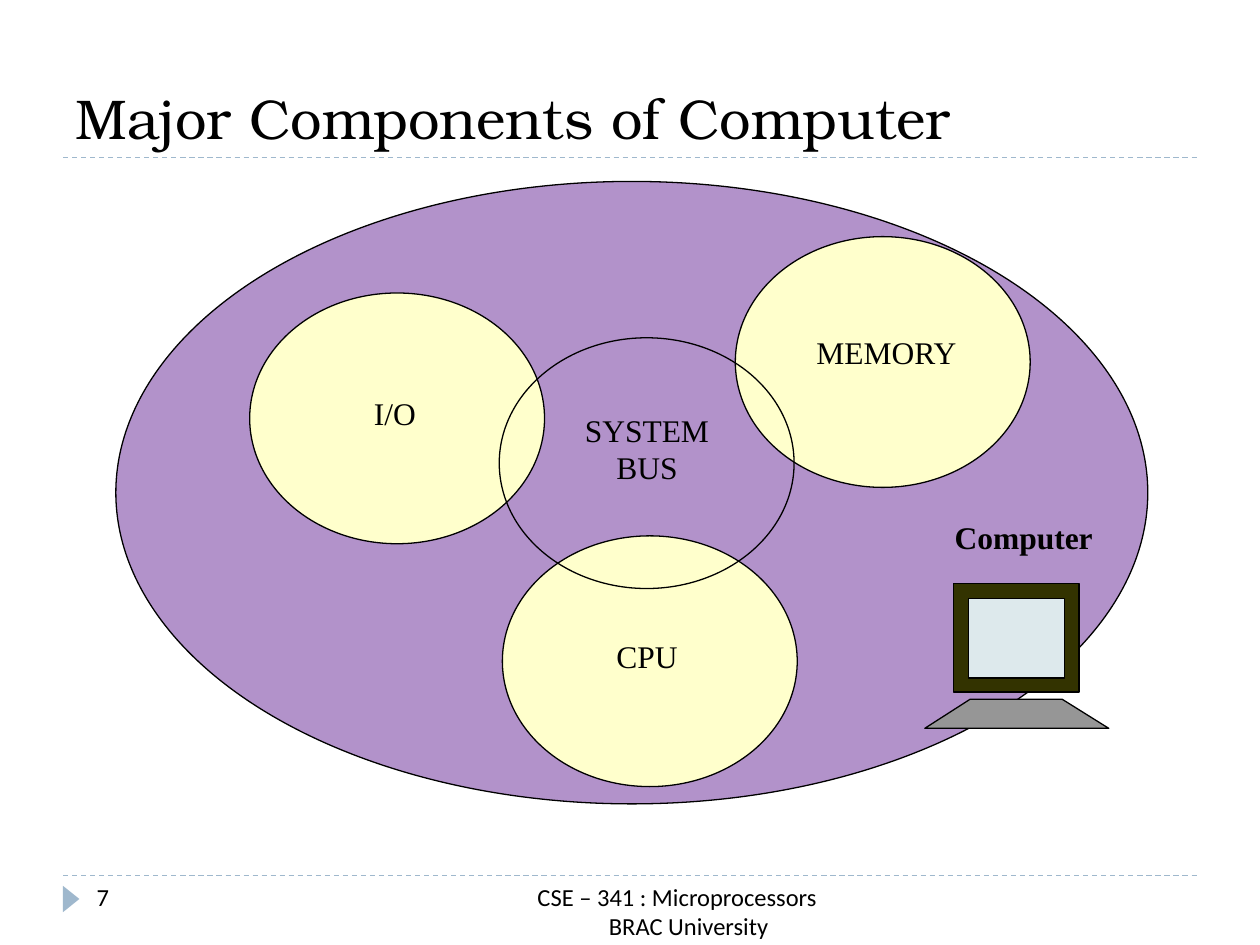
from dataclasses import dataclass
from typing import Any, NamedTuple, Optional

from lxml.etree import SubElement
from pptx import Presentation
from pptx.dml.color import RGBColor
from pptx.enum.dml import MSO_LINE
from pptx.enum.shapes import MSO_CONNECTOR, MSO_SHAPE
from pptx.enum.text import MSO_ANCHOR, MSO_AUTO_SIZE, PP_ALIGN
from pptx.oxml.ns import qn
from pptx.util import Pt


@dataclass(frozen=True)
class Theme:
    ink: str = "000000"
    rule: str = "9FB8CD"
    field: str = "B292CA"
    node: str = "FFFFCC"
    case: str = "333300"
    glass: str = "DDE9EC"
    base: str = "969696"
    head: str = "TeX Gyre Bonum"
    body: str = "Times New Roman"
    foot: str = "Calibri"
    large: float = 32
    mid: float = 18
    small: float = 14
    edge: float = 0.75


class Box(NamedTuple):
    left: float
    top: float
    width: float
    height: float

    def points(self) -> list:
        return [Pt(size) for size in self]


class Node(NamedTuple):
    name: str
    left: float
    top: float
    label: Box
    fill: Optional[str]


THEME = Theme()
NODE_W, NODE_H = 168.5, 143.3
NODES = [
    Node("CPU", 287.1, 306.2, Box(313.2, 360.7, 113, 28.8), THEME.node),
    Node("MEMORY", 420.2, 135.2, Box(442.1, 186.5, 128.9, 28.8), THEME.node),
    Node("I/O", 142.7, 167.4, Box(169.2, 221.8, 113, 28.8), THEME.node),
    Node("SYSTEM BUS", 285.3, 193, Box(313.2, 231.1, 113, 51.1), None),
]


def assign(target: Any, values: dict) -> None:
    for key, value in values.items():
        setattr(target, key, value)


def paint(shape: Any, fill: Optional[str], edge: Optional[str]) -> None:
    shape.shadow.inherit = False
    if fill:
        shape.fill.solid()
        shape.fill.fore_color.rgb = RGBColor.from_string(fill)
    else:
        shape.fill.background()
    if edge:
        shape.line.color.rgb = RGBColor.from_string(edge)
        shape.line.width = Pt(THEME.edge)
    else:
        shape.line.fill.background()


def draw(slide: Any, kind: MSO_SHAPE, box: Box, fill: Optional[str],
         edge: Optional[str] = THEME.ink) -> Any:
    shape = slide.shapes.add_shape(kind, *box.points())
    paint(shape, fill, edge)
    return shape


def write(shape: Any, lines: list, font: str, size: float,
          align: PP_ALIGN = PP_ALIGN.CENTER, bold: bool = False,
          anchor: MSO_ANCHOR = MSO_ANCHOR.TOP) -> None:
    frame = shape.text_frame
    assign(frame, {
        "text": "\n".join(lines), "word_wrap": True,
        "auto_size": MSO_AUTO_SIZE.NONE, "vertical_anchor": anchor,
        "margin_left": Pt(7.2), "margin_right": Pt(7.2),
        "margin_top": Pt(3.6), "margin_bottom": Pt(3.6),
    })
    for para in frame.paragraphs:
        para.alignment = align
        for run in para.runs:
            assign(run.font, {"name": font, "size": Pt(size), "bold": bold})
            run.font.color.rgb = RGBColor.from_string(THEME.ink)


def add_text(slide: Any, box: Box, lines: list, font: str, size: float,
             **style: Any) -> Any:
    shape = slide.shapes.add_textbox(*box.points())
    write(shape, lines, font, size, **style)
    return shape


def add_rule(slide: Any, top: float) -> None:
    rule = slide.shapes.add_connector(
        MSO_CONNECTOR.STRAIGHT, Pt(36), Pt(top), Pt(684), Pt(top))
    rule.line.color.rgb = RGBColor.from_string(THEME.rule)
    assign(rule.line, {"width": Pt(THEME.edge), "dash_style": MSO_LINE.DASH})
    SubElement(rule._element.spPr, qn("a:effectLst"))


def add_screen(slide: Any) -> None:
    add_text(slide, Box(519.8, 292.3, 130.3, 28.8), ["Computer"],
             THEME.body, THEME.mid, bold=True)
    draw(slide, MSO_SHAPE.RECTANGLE, Box(545, 333.4, 71.6, 62), THEME.case)
    path = slide.shapes.build_freeform(Pt(528.5), Pt(416.2), scale=1.0)
    path.add_line_segments(
        [(Pt(x), Pt(y)) for x, y in [(554.4, 399.6), (607, 399.6), (633.6, 416.2)]],
        close=True)
    paint(path.convert_to_shape(), THEME.base, THEME.ink)
    draw(slide, MSO_SHAPE.RECTANGLE, Box(553.5, 342, 54.8, 45.4), THEME.glass)


def add_node(slide: Any, node: Node) -> None:
    draw(slide, MSO_SHAPE.OVAL, Box(node.left, node.top, NODE_W, NODE_H), node.fill)
    if node.fill:
        label = draw(slide, MSO_SHAPE.RECTANGLE, node.label, node.fill, None)
        write(label, [node.name], THEME.body, THEME.mid)
    else:
        add_text(slide, node.label, [node.name], THEME.body, THEME.mid)


def add_foot(slide: Any) -> None:
    mark = draw(slide, MSO_SHAPE.ISOSCELES_TRIANGLE,
                Box(33.1, 509, 15.1, 9.4), THEME.rule, None)
    mark.rotation = 90
    add_text(slide, Box(48.2, 500.4, 156.2, 28.8), ["7"],
             THEME.foot, THEME.small, align=PP_ALIGN.LEFT)
    foot = add_text(slide, Box(144, 500.4, 486, 28.8),
                    ["CSE – 341 : Microprocessors", "BRAC University"],
                    THEME.foot, THEME.small)
    indent = foot.text_frame.paragraphs[1]._p.get_or_add_pPr()
    indent.set("marL", str(Pt(13)))


def main() -> None:
    deck = Presentation()
    assign(deck, {"slide_width": Pt(720), "slide_height": Pt(540)})
    slide = deck.slides.add_slide(deck.slide_layouts[5])
    title = slide.shapes.title
    assign(title, dict(zip(("left", "top", "width", "height"),
                           Box(36, 12.2, 648, 77.8).points())))
    write(title, ["Major Components of Computer"], THEME.head, THEME.large,
          align=PP_ALIGN.LEFT, anchor=MSO_ANCHOR.BOTTOM)
    for top in (500.4, 90):
        add_rule(slide, top)
    draw(slide, MSO_SHAPE.OVAL, Box(66.2, 103.7, 589.7, 355.7), THEME.field)
    add_screen(slide)
    for node in NODES:
        add_node(slide, node)
    add_foot(slide)
    deck.save("out.pptx")


if __name__ == "__main__":
    main()
